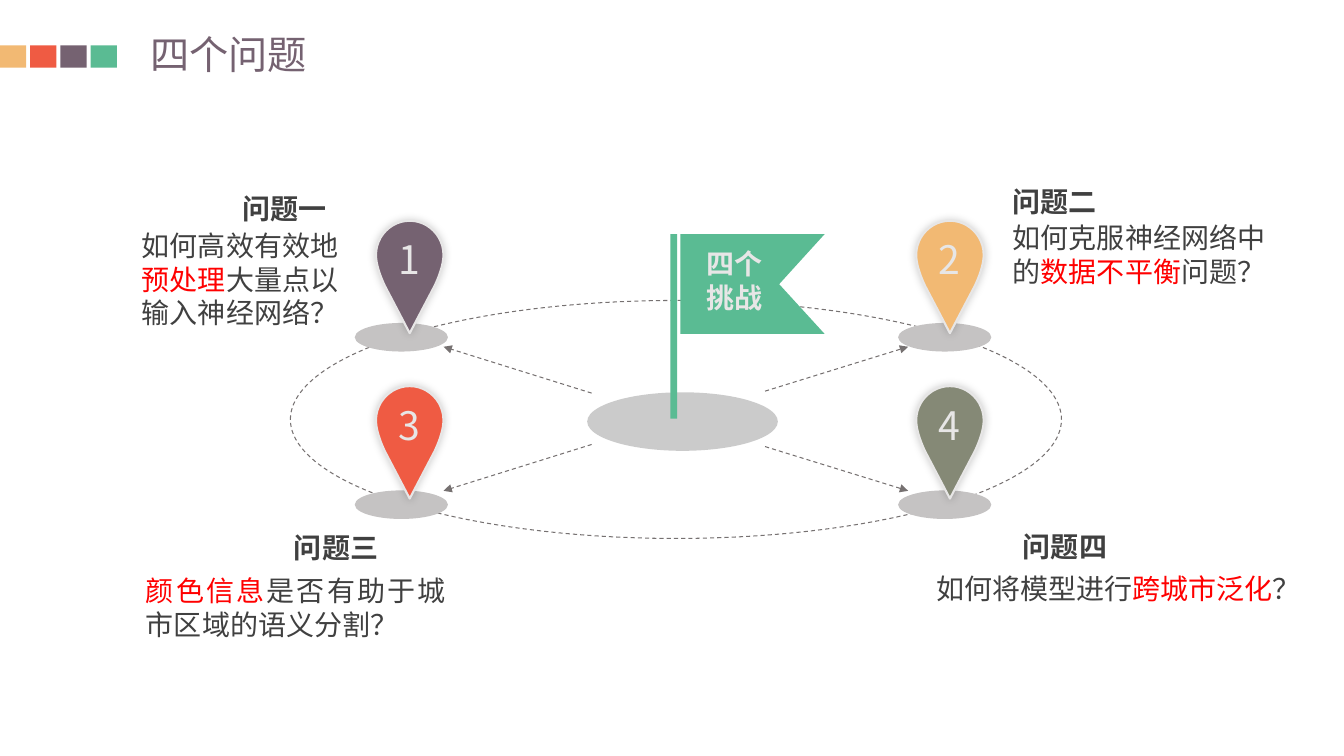
from lxml import etree
from pptx import Presentation
from pptx.dml.color import RGBColor
from pptx.enum import dml, shapes, text
from pptx.oxml import ns
from pptx.util import Pt

# Content
FONT = "Noto Sans CJK SC"
HUES = {"sand": "F2B973", "coral": "EF5B43", "plum": "756271", "green": "5ABB93",
        "olive": "858976", "ink": "404040", "red": "FF0000", "pale": "E7E6E6",
        "line": "767171", "pad": "C5C3C3", "hub": "999999", "white": "FFFFFF"}
TITLE = "四个问题"
FLAG = "四个挑战"
STRIP = ["sand", "coral", "plum", "green"]
LEFT, RIGHT, JUST = text.PP_ALIGN.LEFT, text.PP_ALIGN.RIGHT, text.PP_ALIGN.JUSTIFY
MID = text.PP_ALIGN.CENTER

# Heading, its box and alignment; body runs, their box and alignment
ASKS = [
    ("问题一", (119.5, 133.2, 121, 31.7), RIGHT,
     [("如何高效有效地", "ink"), ("预处理", "red"), ("大量点以输入神经网络？", "ink")],
     (94.3, 159.8, 172, 80), LEFT),
    ("问题二", (716.4, 128.2, 116, 31.7), LEFT,
     [("如何克服神经网络中的", "ink"), ("数据不平衡", "red"), ("问题？", "ink")],
     (716.4, 154.1, 195, 55.4), LEFT),
    ("问题三", (151.2, 375.1, 126, 31.7), RIGHT,
     [("颜色信息", "red"), ("是否有助于城市区域的语义分割？", "ink")],
     (97.2, 406.1, 228.2, 55.4), JUST),
    ("问题四", (723.6, 374.4, 115, 31.7), LEFT,
     [("如何将模型进行", "ink"), ("跨城市泛化", "red"), ("？", "ink")],
     (661.7, 404.6, 275, 31.7), LEFT),
]
PINS = ["plum", "sand", "coral", "olive"]
PIN_X, PIN_Y = (268.6, 654.5), (157.7, 275.8)
PAD_X, PAD_Y = (253.4, 641.5), (228.2, 347.8)
ARROWS = [((422.6, 280.8), (316.8, 247.7)), ((546.5, 279.4), (648.7, 247.7)),
          ((422.6, 317.5), (316.8, 350.6)), ((546.5, 319), (648.7, 350.6))]

deck = Presentation()
deck.slide_width, deck.slide_height = Pt(960), Pt(540)
slide = deck.slides.add_slide(deck.slide_layouts[5])
art = slide.shapes


def rgb(hue):
    return RGBColor.from_string(HUES[hue])


def node(home, tag, **attrs):
    return etree.SubElement(home, ns.qn(tag), attrs)


def paint(part, fill=None, line=None, width=0.75, alpha=None):
    part.shadow.inherit = False
    if fill:
        part.fill.solid()
        part.fill.fore_color.rgb = rgb(fill)
    else:
        part.fill.background()
    if alpha:
        tint = part.fill._xPr.find(".//" + ns.qn("a:srgbClr"))
        node(tint, "a:alpha", val=str(alpha * 1000))
    if line:
        part.line.color.rgb = rgb(line)
        part.line.width = Pt(width)
    else:
        part.line.fill.background()
    return part


def shape(kind, box, **look):
    return paint(art.add_shape(kind, *map(Pt, box)), **look)


def outline(dots, **look):
    pen = art.build_freeform(Pt(dots[0][0]), Pt(dots[0][1]))
    pen.add_line_segments([(Pt(x), Pt(y)) for x, y in dots[1:]], close=True)
    return paint(pen.convert_to_shape(), **look)


def write(box, runs, size=20, bold=False, align=LEFT, wrap=True, inset=None, host=None):
    host = host or art.add_textbox(0, 0, 0, 0)
    for name, val in zip(("left", "top", "width", "height"), box):
        setattr(host, name, Pt(val))
    frame = host.text_frame
    look = {"word_wrap": wrap, "auto_size": text.MSO_AUTO_SIZE.NONE,
            "vertical_anchor": text.MSO_ANCHOR.TOP}
    if inset is not None:
        for side in ("left", "top", "right", "bottom"):
            look["margin_" + side] = Pt(inset)
    for name, val in look.items():
        setattr(frame, name, val)
    para = frame.paragraphs[0]
    para.alignment = align
    for words, hue in runs:
        run = para.add_run()
        run.text = words
        for name, val in {"name": FONT, "size": Pt(size), "bold": bold}.items():
            setattr(run.font, name, val)
        run.font.color.rgb = rgb(hue)
        node(run.font._rPr, "a:ea", typeface=FONT)


def curve(a, b, c, d, steps=12):
    spots = []
    for i in range(steps + 1):
        t = i / steps
        s = 1 - t
        spots.append(tuple(s**3 * p + 3 * s * s * t * q + 3 * s * t * t * r + t**3 * e
                           for p, q, r, e in zip(a, b, c, d)))
    return spots


RECT, OVAL = shapes.MSO_SHAPE.RECTANGLE, shapes.MSO_SHAPE.OVAL

# Title and colour strip
write((107.3, 21.6, 129, 33.8), [(TITLE, "plum")], size=28, inset=0, host=art.title)
for i, hue in enumerate(STRIP):
    shape(RECT, (21.6 * i, 32.4, 18.7, 16), fill=hue)

# Questions
for head, spot, side, runs, area, align in ASKS:
    write(spot, [(head, "ink")], bold=True, align=side)
    write(area, runs, align=align)

# Rings and hub
ring = shape(OVAL, (207.4, 214.6, 550.8, 170), line="line")
ring.line.dash_style = dml.MSO_LINE.DASH
shape(OVAL, (303.8, 242.6, 357.8, 110.2), fill="white", alpha=70)
shape(OVAL, (419.4, 280.2, 136.2, 41.8), fill="hub", alpha=50)

# Pads
for y in PAD_Y:
    for x in PAD_X:
        shape(OVAL, (x, y + 2.5, 66.6, 20.4), fill="pad")

# Arrows
for start, end in ARROWS:
    arrow = art.add_connector(shapes.MSO_CONNECTOR.STRAIGHT, *map(Pt, start + end))
    arrow.line.color.rgb = rgb("line")
    arrow.line.width = Pt(0.75)
    arrow.line.dash_style = dml.MSO_LINE.DASH
    node(arrow.line._get_or_add_ln(), "a:tailEnd", type="triangle")
    node(arrow._element.spPr, "a:effectLst")

# Flag
outline([(589, 167.3), (486, 167.3), (486, 238.5), (589, 238.5), (556.6, 203)], fill="green")
shape(RECT, (478.8, 167.3, 5, 131.8), fill="green")
write((493.9, 172.8, 61.2, 55.4), [(FLAG, "pale")], bold=True, align=MID)

# Numbered pins: the right half is mirrored about the tip
MAST = 24.1
half = (curve((MAST, 0), (37.3, 0), (48.2, 10.9), (48.2, 24.4))
        + curve((48.2, 24.4), (48.2, 31), (45.1, 39.8), (41.8, 46.6))[1:])
drop = half + [(MAST, 80.3)] + [(2 * MAST - x, y) for x, y in half[:0:-1]]
for i, hue in enumerate(PINS):
    x, y = PIN_X[i % 2], PIN_Y[i // 2]
    pin = outline([(x + a, y + b) for a, b in drop], fill=hue, line="pale", width=1.5)
    glow = node(pin._element.spPr.find(ns.qn("a:effectLst")), "a:outerShdw",
                blurRad=str(Pt(6)), dist="0", dir="13500000", rotWithShape="0")
    node(node(glow, "a:srgbClr", val="000000"), "a:alpha", val="20000")
    write((x + 9, y + 7, 31, 41), [(str(i + 1), "pale")], size=28, wrap=False)

deck.save("out.pptx")
